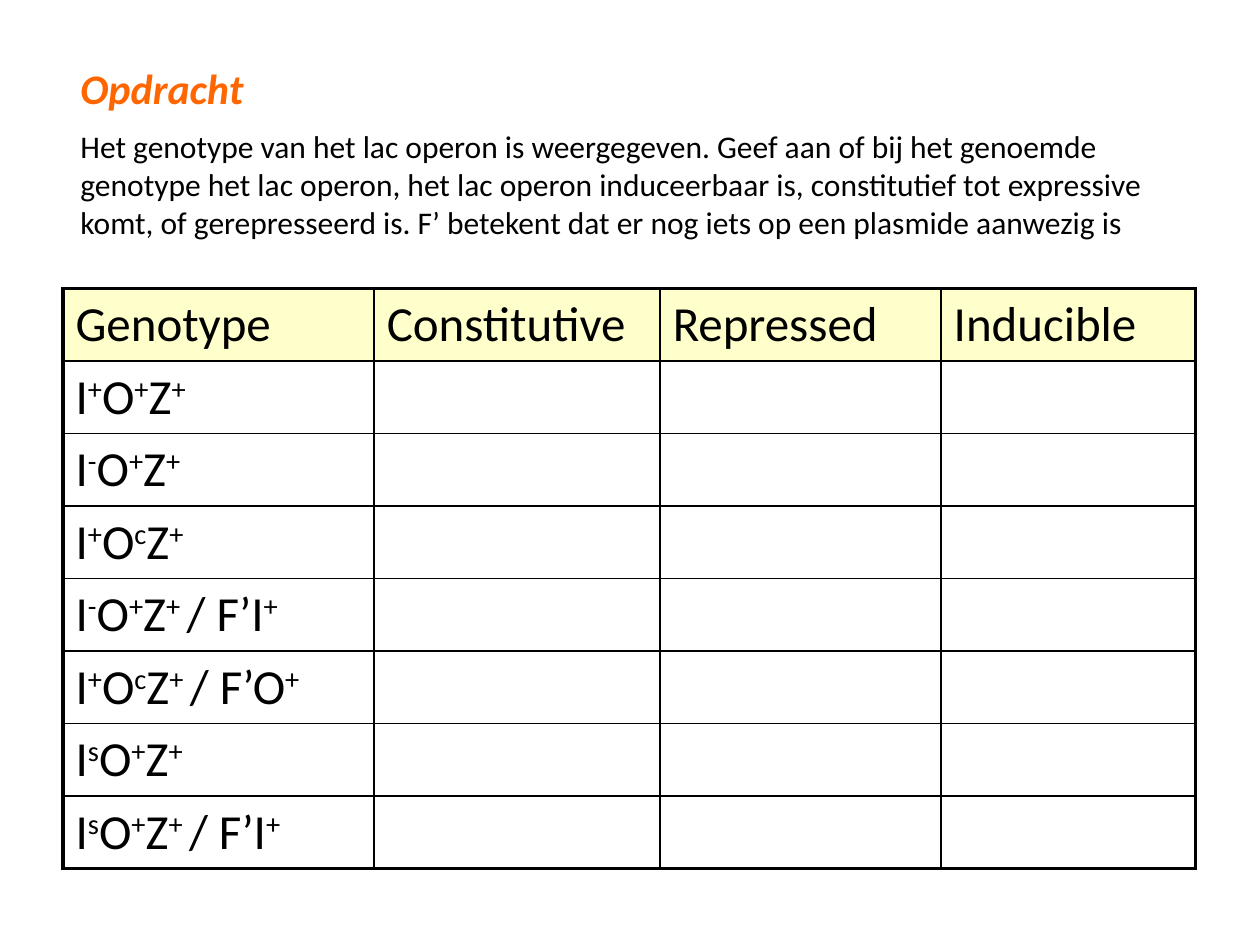
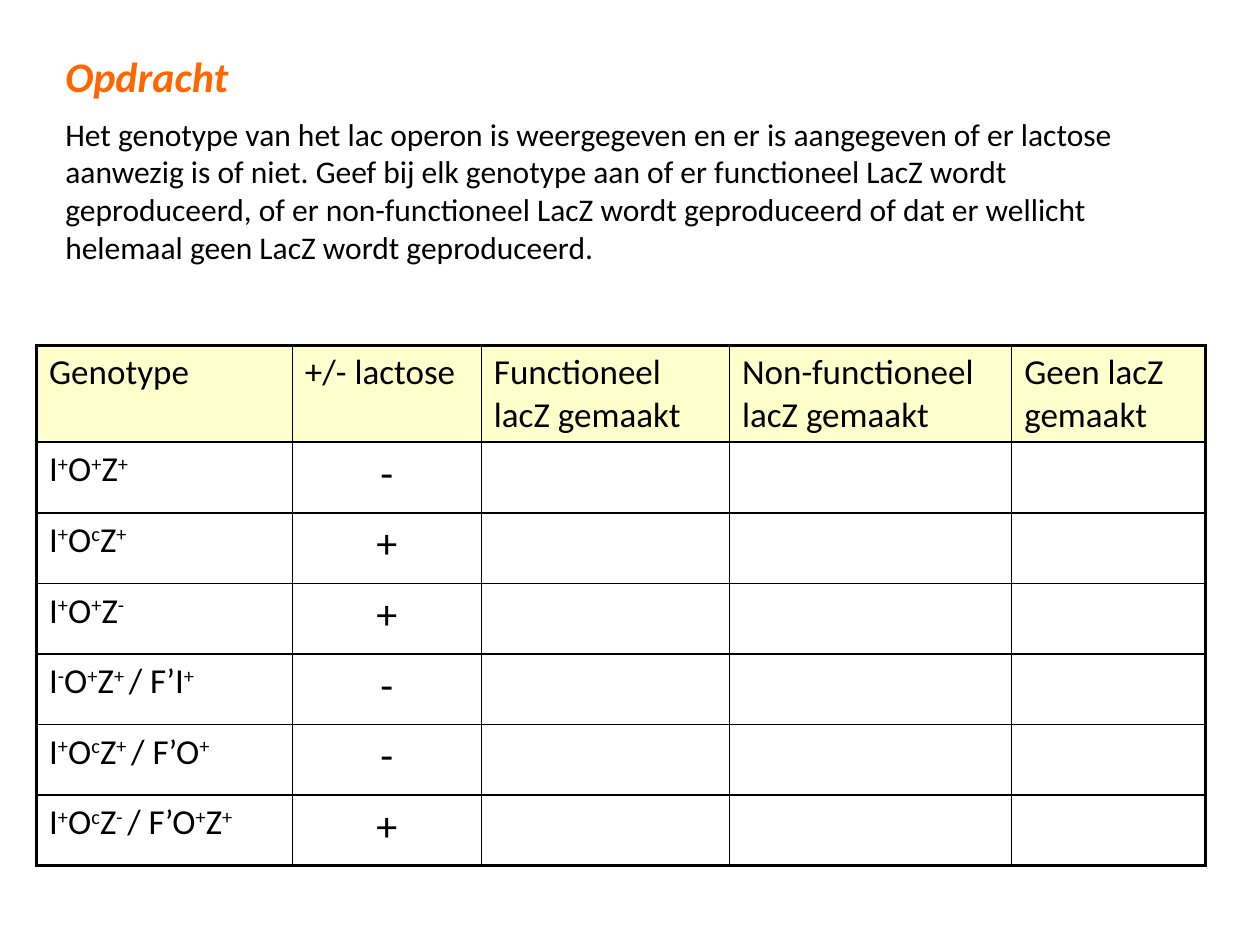
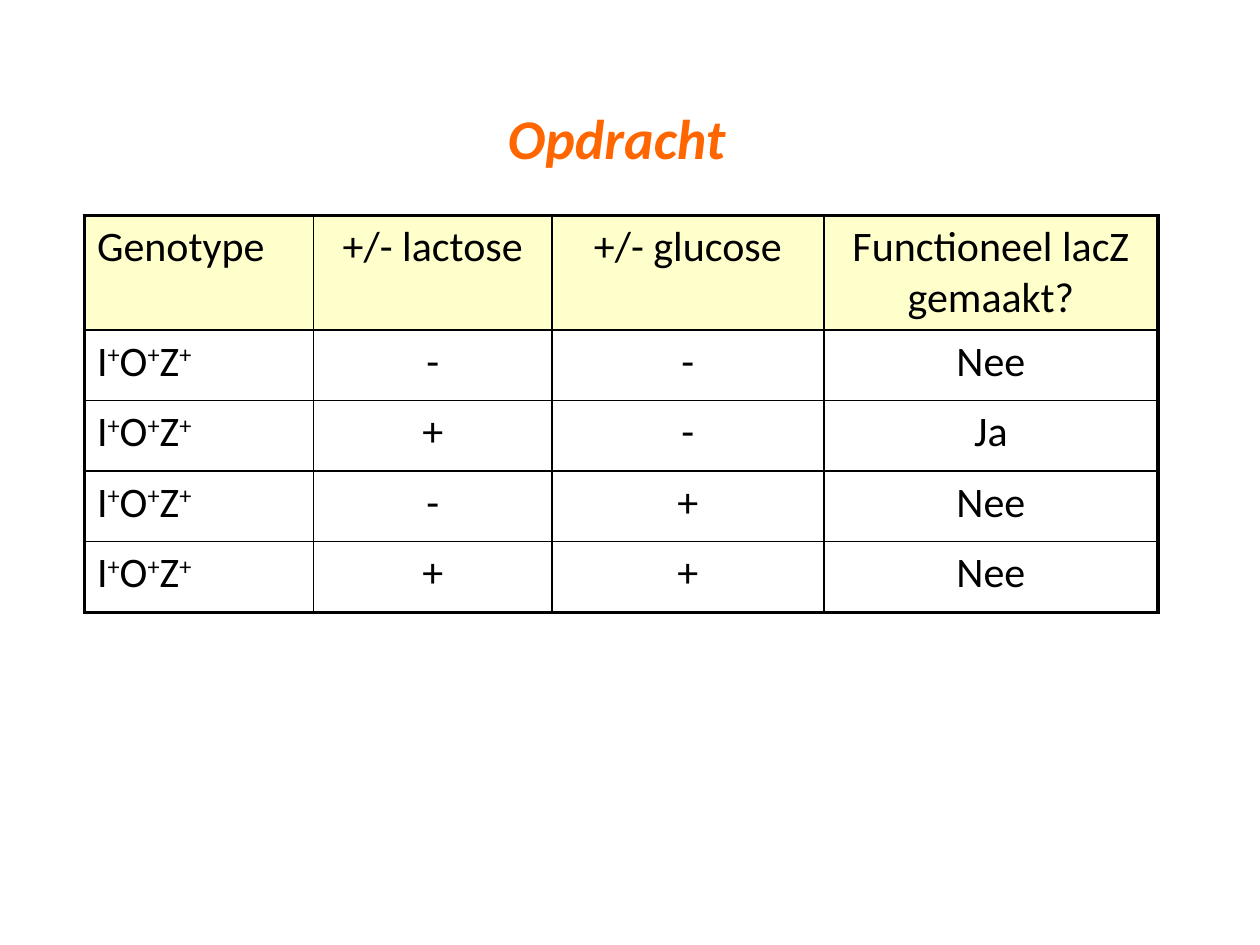
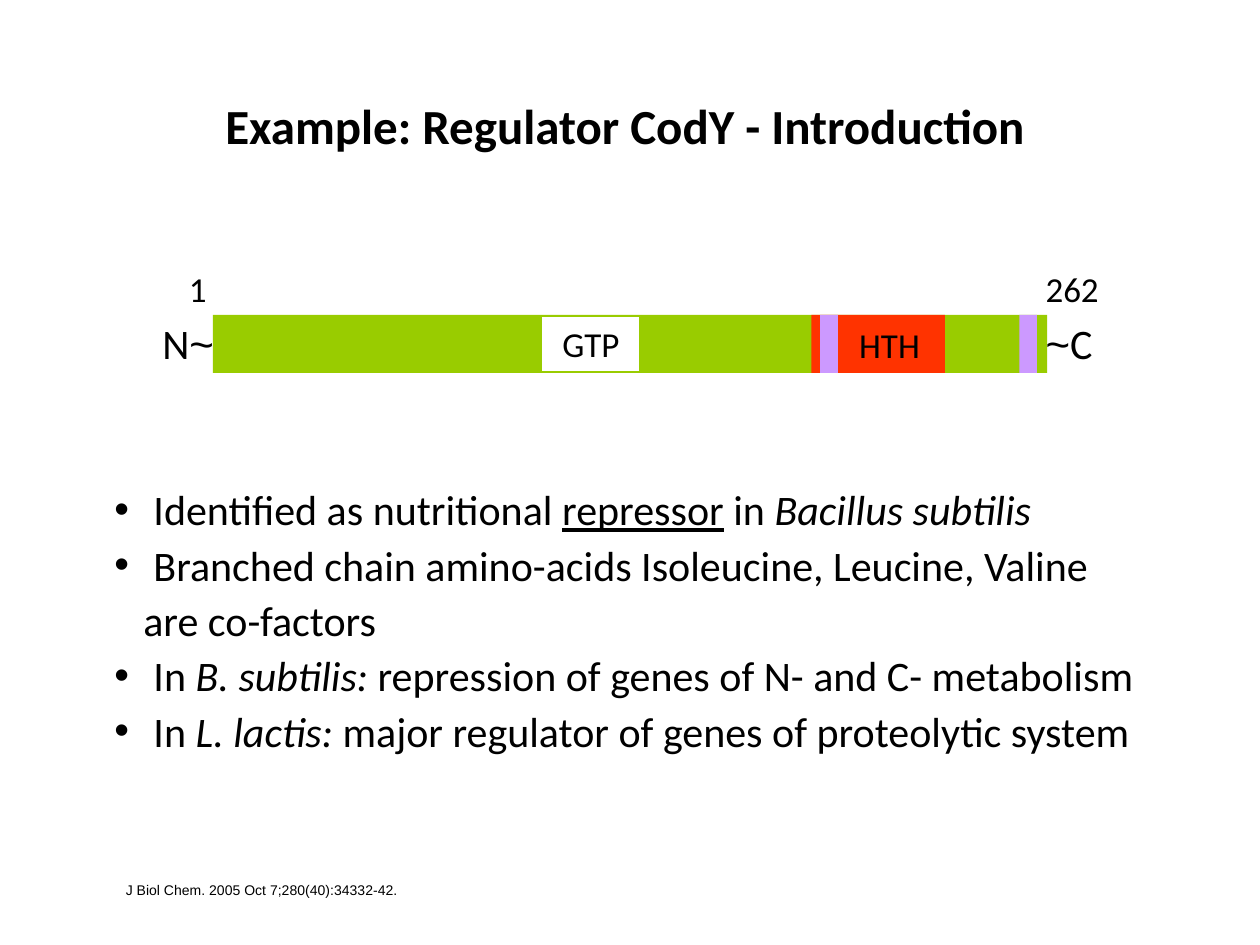
from dataclasses import dataclass
from typing import NamedTuple

import lxml.etree
import pptx
import pptx.dml.color
import pptx.enum.shapes
import pptx.enum.text
import pptx.oxml
import pptx.oxml.ns
import pptx.util

Inches = pptx.util.Inches
Pt = pptx.util.Pt
Align = pptx.enum.text.PP_ALIGN
qn = pptx.oxml.ns.qn

COLORS = {
    "text": "000000",
    "assignment": "FF6600",
    "header": "FFFFCC",
    "protein": "99CC00",
    "motif": "CC99FF",
    "helix": "FF3300",
    "white": "FFFFFF",
}
OUTER_BORDER, INNER_BORDER = 2.25, 1


class Box(NamedTuple):
    left: float
    top: float
    width: float
    height: float


class Span(NamedTuple):
    text: str
    size: float = 24
    font: str = "Calibri"
    color: str = "text"
    bold: bool = False
    italic: bool = False
    underline: bool = False
    raised: bool = False


class Line(NamedTuple):
    spans: list[Span]
    align: Align = Align.LEFT
    before: float = 0
    spacing: float | None = None
    margin: float = 0
    bullet: bool = False


@dataclass
class GenotypeTable:
    """Cell text alternates plain and raised parts, divided by a bar."""
    left: float
    top: float
    columns: list[float]
    header_height: float
    row_height: float
    size: float
    value_size: float
    headings: list[str]
    rows: list[list[str]]
    heading_align: Align = Align.LEFT


class Domain(NamedTuple):
    left: float
    width: float
    color: str


def rgb(name: str) -> pptx.dml.color.RGBColor:
    return pptx.dml.color.RGBColor.from_string(COLORS[name])


def place(box: Box) -> list[pptx.util.Length]:
    return [Inches(value) for value in box]


def add_span(paragraph, span: Span) -> None:
    run = paragraph.add_run()
    run.text = span.text
    font = run.font
    font.size, font.name = Pt(span.size), span.font
    font.bold, font.italic, font.underline = span.bold, span.italic, span.underline
    font.color.rgb = rgb(span.color)
    if span.raised:
        run._r.get_or_add_rPr().set("baseline", "30000")


def write_lines(frame, lines: list[Line]) -> None:
    for number, line in enumerate(lines):
        paragraph = frame.add_paragraph() if number else frame.paragraphs[0]
        if line.margin:
            properties = paragraph._p.get_or_add_pPr()
            properties.set("marL", str(Inches(line.margin)))
            if line.bullet:
                properties.set("indent", str(-Inches(line.margin)))
                lxml.etree.SubElement(properties, qn("a:buFont"), typeface="Arial")
                lxml.etree.SubElement(properties, qn("a:buChar"), char="•")
        paragraph.alignment = line.align
        if line.before:
            paragraph.space_before = Pt(line.before)
        if line.spacing:
            paragraph.line_spacing = line.spacing
        for span in line.spans:
            add_span(paragraph, span)


def add_text(slide, box: Box, lines: list[Line], wrap: bool = True) -> None:
    frame = slide.shapes.add_textbox(*place(box)).text_frame
    frame.word_wrap = wrap
    write_lines(frame, lines)


def add_block(slide, box: Box, color: str):
    block = slide.shapes.add_shape(pptx.enum.shapes.MSO_SHAPE.RECTANGLE, *place(box))
    block.shadow.inherit = False
    block.fill.solid()
    block.fill.fore_color.rgb = rgb(color)
    block.line.fill.background()
    return block


def assignment_title(size: float) -> Span:
    return Span("Opdracht", size, color="assignment", bold=True, italic=True)


def add_assignment(slide, box: Box, question: str) -> None:
    add_text(slide, box, [Line([assignment_title(24)]),
                          Line([Span(question, 18)], before=8)])


def set_borders(cell, widths: dict[str, float]) -> None:
    properties = cell._tc.get_or_add_tcPr()
    for position, (side, width) in enumerate(widths.items()):
        border = lxml.etree.Element(qn(f"a:ln{side}"), w=str(Pt(width)))
        fill = lxml.etree.SubElement(border, qn("a:solidFill"))
        lxml.etree.SubElement(fill, qn("a:srgbClr"), val=COLORS["text"])
        properties.insert(position, border)


def add_genotype_table(slide, spec_table: GenotypeTable) -> None:
    content = [spec_table.headings] + spec_table.rows
    heights = [spec_table.header_height] + [spec_table.row_height] * len(spec_table.rows)
    last_row, last_column = len(content) - 1, len(spec_table.columns) - 1
    box = Box(spec_table.left, spec_table.top, sum(spec_table.columns), sum(heights))
    table = slide.shapes.add_table(last_row + 1, last_column + 1, *place(box)).table
    table.first_row = table.horz_banding = False
    for column, width in zip(table.columns, spec_table.columns):
        column.width = Inches(width)
    for r, (row, height) in enumerate(zip(table.rows, heights)):
        row.height = Inches(height)
        for c, cell in enumerate(row.cells):
            if r == 0:
                cell.fill.solid()
                cell.fill.fore_color.rgb = rgb("header")
            else:
                cell.fill.background()
            edges = {"L": c == 0, "R": c == last_column, "T": r == 0, "B": r == last_row}
            set_borders(cell, {side: OUTER_BORDER if outer else INNER_BORDER
                               for side, outer in edges.items()})
            if c >= len(content[r]):
                continue
            is_value = r > 0 and c > 0
            size = spec_table.value_size if is_value else spec_table.size
            align = Align.LEFT
            if c > 0:
                align = Align.CENTER if is_value else spec_table.heading_align
            spans = [Span(part, size, raised=i % 2 == 1)
                     for i, part in enumerate(content[r][c].split("|"))]
            write_lines(cell.text_frame, [Line(spans, align)])


WILD_TYPE = "I|+|O|+|Z|+"

EXPRESSION = GenotypeTable(
    0.5, 2.29, [2.47, 2.27, 2.23, 2.02], 0.57, 0.57, 28, 28,
    ["Genotype", "Constitutive", "Repressed", "Inducible"],
    [[WILD_TYPE], ["I|-|O|+|Z|+"], ["I|+|O|c|Z|+"], ["I|-|O|+|Z|+ |/ F’I|+"],
     ["I|+|O|c|Z|+ |/ F’O|+"], ["I|s|O|+|Z|+"], ["I|s|O|+|Z|+ |/ F’I|+"]],
)
LACTOSE = GenotypeTable(
    0.29, 2.74, [2.03, 1.5, 1.97, 2.24, 1.54], 0.77, 0.56, 20, 24,
    ["Genotype", "+/- lactose", "Functioneel lacZ gemaakt",
     "Non-functioneel lacZ gemaakt", "Geen lacZ gemaakt"],
    [[WILD_TYPE, "-"], ["I|+|O|c|Z|+", "+"], ["I|+|O|+|Z|-", "+"],
     ["I|-|O|+|Z|+ |/ F’I|+", "-"], ["I|+|O|c|Z|+ |/ F’O|+", "-"],
     ["I|+|O|c|Z|- |/ F’O|+|Z|+", "+"]],
)
GLUCOSE = GenotypeTable(
    0.67, 1.71, [1.82, 1.89, 2.16, 2.65], 0.91, 0.56, 24, 24,
    ["Genotype", "+/- lactose", "+/- glucose", "Functioneel lacZ gemaakt?"],
    [[WILD_TYPE, "-", "-", "Nee"], [WILD_TYPE, "+", "-", "Ja"],
     [WILD_TYPE, "-", "+", "Nee"], [WILD_TYPE, "+", "+", "Nee"]],
    Align.CENTER,
)


def add_protein(slide) -> None:
    """Draw the CodY protein with its domains and end labels."""
    top, height = 2.5, 0.46
    for domain in (Domain(1.69, 6.62, "protein"), Domain(8.09, 0.14, "motif"),
                   Domain(6.44, 1.06, "helix"), Domain(6.51, 0.14, "motif")):
        add_block(slide, Box(domain.left, top, domain.width, height), domain.color)
    gtp = add_block(slide, Box(4.3, 2.51, 0.78, 0.44), "white")
    gtp.line.color.rgb = rgb("protein")
    gtp.line.width = Pt(0.75)
    write_lines(gtp.text_frame, [Line([Span("GTP", 20)], Align.CENTER)])
    labels = [
        (Box(1.19, 2.47, 0.62, 0.5), [Span("N"), Span("~", font="Arial")]),
        (Box(8.2, 2.47, 0.58, 0.5), [Span("~", font="Arial"), Span("C")]),
        (Box(6.72, 2.52, 0.69, 0.44), [Span("HTH", 20)]),
        (Box(1.4, 2.07, 0.36, 0.44), [Span("1", 20)]),
        (Box(8.2, 2.07, 0.63, 0.44), [Span("262", 20)]),
    ]
    for box, spans in labels:
        add_text(slide, box, [Line(spans)], wrap=False)


def add_findings(slide) -> None:
    def finding(*spans: Span) -> Line:
        return Line(list(spans), spacing=1.1, margin=0.31, bullet=True)

    add_text(slide, Box(0.81, 3.75, 8.89, 2.66), [
        finding(Span("Identified as nutritional "), Span("repressor", underline=True),
                Span(" in "), Span("Bacillus subtilis", italic=True)),
        finding(Span("Branched chain amino-acids Isoleucine, Leucine, Valine")),
        Line([Span("are co-factors")], spacing=1.1, margin=0.23),
        finding(Span("In "), Span("B. subtilis:", italic=True),
                Span(" repression of genes of N- and C- metabolism")),
        finding(Span("In "), Span("L. lactis:", italic=True),
                Span(" major regulator of genes of proteolytic system")),
    ])


def main() -> None:
    deck = pptx.Presentation()
    deck.slide_width, deck.slide_height = Inches(10), Inches(7.5)
    expression, lactose, glucose, regulator = (
        deck.slides.add_slide(deck.slide_layouts[6]) for _ in range(4))

    add_genotype_table(expression, EXPRESSION)
    add_assignment(
        expression, Box(0.54, 0.45, 8.92, 1.57),
        "Het genotype van het lac operon is weergegeven. Geef aan of bij het genoemde "
        "genotype het lac operon, het lac operon induceerbaar is, constitutief tot "
        "expressive komt, of gerepresseerd is. F’ betekent dat er nog iets op een "
        "plasmide aanwezig is")

    add_genotype_table(lactose, LACTOSE)
    add_assignment(
        lactose, Box(0.42, 0.35, 8.95, 1.97),
        "Het genotype van het lac operon is weergegeven en er is aangegeven of er lactose "
        "aanwezig is of niet. Geef bij elk genotype aan of er functioneel LacZ wordt "
        "geproduceerd, of er non-functioneel LacZ wordt geproduceerd of dat er wellicht "
        "helemaal geen LacZ wordt geproduceerd.")

    add_genotype_table(glucose, GLUCOSE)
    add_text(glucose, Box(1.49, 0.77, 6.81, 0.64),
             [Line([assignment_title(32)], Align.CENTER)])

    add_text(regulator, Box(1.69, 0.71, 6.62, 0.57),
             [Line([Span("Example: Regulator CodY - Introduction", 28, bold=True)])],
             wrap=False)
    add_findings(regulator)
    add_protein(regulator)
    add_text(regulator, Box(0.9, 6.95, 5, 0.24),
             [Line([Span("J Biol Chem. 2005 Oct 7;280(40):34332-42.", 8, "Arial")])])

    deck.save("out.pptx")


if __name__ == "__main__":
    main()
